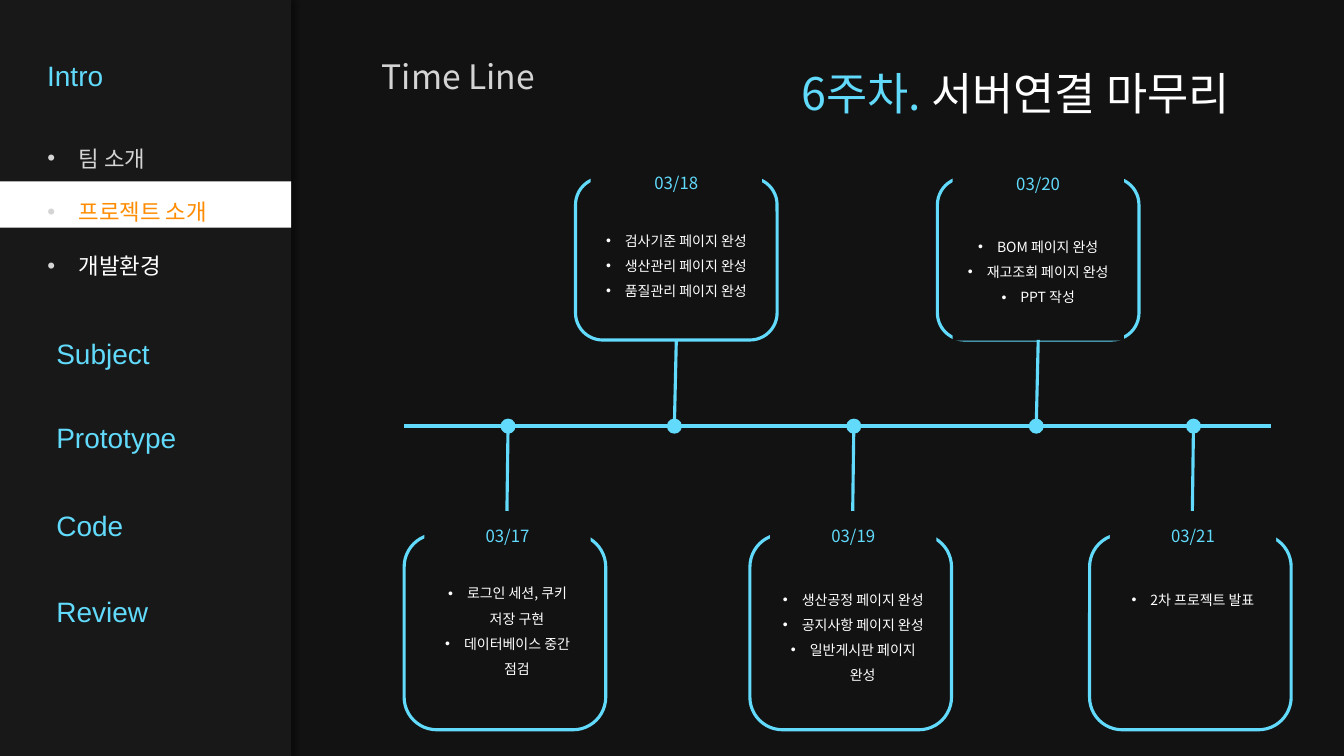
from lxml.etree import SubElement
from pptx import Presentation
from pptx.dml.color import RGBColor
from pptx.enum.shapes import MSO_CONNECTOR as Connector, MSO_SHAPE as Preset
from pptx.enum.text import MSO_ANCHOR as Anchor, MSO_AUTO_SIZE as AutoSize, PP_ALIGN as Align
from pptx.oxml import parse_xml
from pptx.oxml.ns import nsdecls, qn
from pptx.util import Pt

BACKGROUND = RGBColor(0x12, 0x12, 0x12)
SIDEBAR = RGBColor(0x18, 0x18, 0x18)
CYAN = RGBColor(0x61, 0xDA, 0xFB)
GREY = RGBColor(0xD4, 0xD4, 0xD4)
ORANGE = RGBColor(0xFF, 0x8C, 0x00)
WHITE = RGBColor(0xFF, 0xFF, 0xFF)
KOREAN = "Noto Sans CJK KR"
LATIN = "Arial"

SIDEBAR_WIDTH = 208
AXIS_TOP = 304.4
DOT_SIZE = 10.8
CARD_WIDTH = 144

MENU = [("팀 소개", GREY), ("프로젝트 소개", ORANGE), ("개발환경", WHITE)]
SECTIONS = [("Intro", 26.6, 24.5), ("Subject", 33.1, 223.2), ("Prototype", 33.1, 283),
            ("Code", 33.1, 345.6), ("Review", 33.1, 407.5)]
UPPER_CARDS = [
    (411.1, 122.4, 21.7, "03/18",
     ["검사기준 페이지 완성", "생산관리 페이지 완성", "품질관리 페이지 완성"]),
    (669.6, 130.3, 26.1, "03/20",
     ["BOM 페이지 완성", "재고조회 페이지 완성", "PPT 작성"]),
]
LOWER_CARDS = [
    (288.7, 149, 21.7, "03/17", ["로그인 세션, 쿠키 저장 구현", "데이터베이스 중간 점검"]),
    (535.7, 149, 26.1, "03/19",
     ["생산공정 페이지 완성", "공지사항 페이지 완성", "일반게시판 페이지 완성"]),
    (778.3, 149, 26.1, "03/21", ["2차 프로젝트 발표"]),
]


def place(shape, left, top, width, height):
    """Move and size a shape, in points."""
    shape.left, shape.top, shape.width, shape.height = map(Pt, (left, top, width, height))


def style_run(span, size, color, font=KOREAN):
    """Set the size, colour and fonts of a run."""
    span.font.size = Pt(size)
    span.font.color.rgb = color
    span.font.name = font
    span.font._element.find(qn("a:latin")).addnext(
        parse_xml(f'<a:ea {nsdecls("a")} typeface="{KOREAN}"/>'))


def add_bullet(para, color, indent):
    """Give a paragraph a coloured hanging bullet."""
    properties = para._p.get_or_add_pPr()
    properties.set("marL", str(Pt(indent)))
    properties.set("indent", str(-Pt(indent)))
    bullet_color = SubElement(properties, qn("a:buClr"))
    SubElement(bullet_color, qn("a:srgbClr"), val=str(color))
    SubElement(properties, qn("a:buFont"), typeface="Arial")
    SubElement(properties, qn("a:buChar"), char="•")


def add_box(slide, preset, left, top, width, height, fill=None, line=None):
    """Add a preset shape with an optional fill and outline."""
    box = slide.shapes.add_shape(preset, Pt(left), Pt(top), Pt(width), Pt(height))
    box.shadow.inherit = False
    if fill is None:
        box.fill.background()
    else:
        box.fill.solid()
        box.fill.fore_color.rgb = fill
    if line is None:
        box.line.fill.background()
    else:
        box.line.color.rgb = line
        box.line.width = Pt(2.25)
    return box


def add_line(slide, start, end, width):
    """Add a straight cyan line between two points."""
    line = slide.shapes.add_connector(Connector.STRAIGHT, *map(Pt, start + end))
    line.line.color.rgb = CYAN
    line.line.width = Pt(width)
    SubElement(line._element.spPr, qn("a:effectLst"))


def add_label(slide, text, left, top, width, height, size, color, font, anchor):
    """Add a one-line text box."""
    label = slide.shapes.add_textbox(Pt(left), Pt(top), Pt(width), Pt(height))
    frame = label.text_frame
    frame.word_wrap = True
    frame.vertical_anchor = anchor
    frame.text = text
    frame.paragraphs[0].line_spacing = 0.9
    style_run(frame.paragraphs[0].runs[0], size, color, font)


def fill_title(title):
    """Place and write the two-colour title."""
    place(title, 565.2, 47.5, 352.8, 46)
    frame = title.text_frame
    frame.auto_size = AutoSize.NONE
    frame.vertical_anchor = Anchor.TOP
    para = frame.paragraphs[0]
    para.alignment = Align.LEFT
    para.line_spacing = 0.9
    for text, color in [("6주차. ", CYAN), ("서버연결 마무리", WHITE)]:
        span = para.add_run()
        span.text = text
        style_run(span, 32, color)


def fill_menu(menu):
    """Place and write the bulleted sidebar menu."""
    place(menu, 26.6, 69.1, 154.8, 145.4)
    frame = menu.text_frame
    frame.auto_size = AutoSize.NONE
    frame.vertical_anchor = Anchor.MIDDLE
    frame.text = "\n".join(text for text, _ in MENU)
    for para, (_, color) in zip(frame.paragraphs, MENU):
        add_bullet(para, GREY, 22.5)
        para.line_spacing = 2.0
        para.space_before = Pt(0)
        style_run(para.runs[0], 16, color, LATIN)


def add_sidebar(slide, menu):
    """Add the sidebar panel, its highlight and its entries."""
    panel = add_box(slide, Preset.RECTANGLE, 0, 0, SIDEBAR_WIDTH, 540, SIDEBAR)
    effects = panel._element.spPr.find(qn("a:effectLst"))
    shadow = SubElement(effects, qn("a:outerShdw"), blurRad=str(Pt(4)), dist=str(Pt(3)),
                        dir="0", algn="l", rotWithShape="0")
    shade = SubElement(shadow, qn("a:srgbClr"), val="000000")
    SubElement(shade, qn("a:alpha"), val="40000")
    highlight = add_box(slide, Preset.RECTANGLE, 0, 129.6, SIDEBAR_WIDTH, 33, WHITE)
    highlight.element.addnext(menu.element)
    fill_menu(menu)
    for text, left, top in SECTIONS:
        add_label(slide, text, left, top, 154.8, 61.9, 20, CYAN, LATIN, Anchor.MIDDLE)


def add_card(slide, card, top, height, inset, mask_top):
    """Add a bracket-shaped card with its date and tasks."""
    left, mask_height, gap, date, tasks = card
    frame_box = add_box(slide, Preset.ROUNDED_RECTANGLE, left, top, CARD_WIDTH, height, line=CYAN)
    frame_box.adjustments[0] = 0.167
    mask_width = 122.4 if inset < 14 else 118.8
    mask = add_box(slide, Preset.RECTANGLE, left + inset, mask_top, mask_width, mask_height,
                   BACKGROUND)
    frame = mask.text_frame
    frame.word_wrap = True
    frame.vertical_anchor = Anchor.TOP
    frame.text = "\n".join([date] + tasks)
    for index, para in enumerate(frame.paragraphs):
        if index:
            add_bullet(para, WHITE, 13.5)
        if index == 1:
            para.space_before = Pt(gap)
        para.alignment = Align.CENTER
        para.line_spacing = 1.5
        style_run(para.runs[0], 10 if index else 12, WHITE if index else CYAN)


def add_milestone(slide, axis_x, card_x, card_y):
    """Add a dot on the axis and the stem to its card."""
    add_box(slide, Preset.OVAL, axis_x - DOT_SIZE / 2, AXIS_TOP - DOT_SIZE / 2,
            DOT_SIZE, DOT_SIZE, CYAN)
    add_line(slide, (axis_x, AXIS_TOP), (card_x, card_y), 2.25)


def main():
    """Build the timeline slide."""
    deck = Presentation()
    deck.slide_width, deck.slide_height = Pt(960), Pt(540)
    slide = deck.slides.add_slide(deck.slide_layouts[1])
    slide.background.fill.solid()
    slide.background.fill.fore_color.rgb = BACKGROUND
    fill_title(slide.shapes.title)
    add_sidebar(slide, slide.placeholders[1])
    add_label(slide, "Time Line", 265.7, 39.6, 270.7, 31.7, 24, GREY, KOREAN, Anchor.TOP)
    add_line(slide, (288.7, AXIS_TOP), (907.9, AXIS_TOP), 3)
    for card in UPPER_CARDS:
        add_card(slide, card, 126.9, 116, 10.8, 113)
        add_milestone(slide, card[0] + 70.6, card[0] + 72, 242.8)
    for card in LOWER_CARDS:
        add_card(slide, card, 381.6, 139.7, 14.4, 365)
        add_milestone(slide, card[0] + 74.2, card[0] + 73.4, 365)
    deck.save("out.pptx")


if __name__ == "__main__":
    main()
